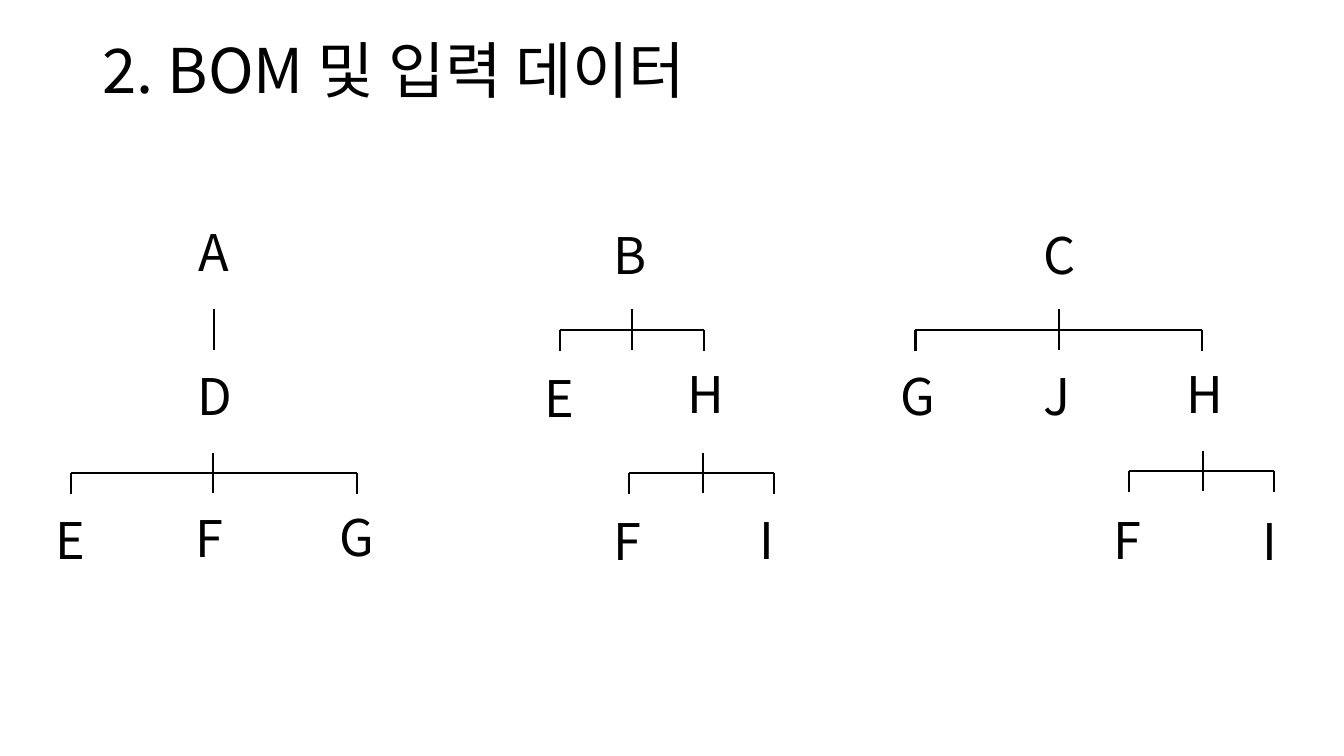
from lxml import etree
from pptx import Presentation
from pptx.dml.color import RGBColor
from pptx.enum.shapes import MSO_CONNECTOR
from pptx.enum.text import MSO_ANCHOR
from pptx.oxml.ns import qn
from pptx.util import Inches, Pt

STRAIGHT = MSO_CONNECTOR.STRAIGHT
MIDDLE = MSO_ANCHOR.MIDDLE
FONT = "Noto Sans CJK KR"
BLACK = "000000"
STEM_HALF = 0.2
DROP = 0.21

# Part letter, left and top of its box
PARTS = [
    ("A", 1.87, 2.17), ("D", 1.86, 3.6),
    ("E", 0.45, 5.03), ("F", 1.84, 5.01), ("G", 3.27, 5.0),
    ("B", 5.99, 2.2), ("E", 5.3, 3.62), ("H", 6.72, 3.58),
    ("F", 5.99, 5.04), ("I", 7.43, 5.03),
    ("C", 10.25, 2.2), ("G", 8.83, 3.6), ("J", 10.25, 3.6), ("H", 11.67, 3.58),
    ("F", 10.95, 5.03), ("I", 12.42, 5.04),
]
# Left end, stem and right end of each rail, then its height
BRANCHES = [
    (0.7, 2.11, 3.54, 4.69),
    (5.55, 6.27, 6.98, 3.27),
    (6.24, 6.97, 7.68, 4.69),
    (9.08, 10.5, 11.92, 3.27),
    (11.2, 11.93, 12.64, 4.67),
]


def color(value):
    return RGBColor.from_string(value)


def add_text(slide, text, left, top, width, height, size):
    shape = slide.shapes.add_textbox(
        Inches(left), Inches(top), Inches(width), Inches(height))
    frame = shape.text_frame
    frame.word_wrap = True
    frame.vertical_anchor = MIDDLE
    paragraph = frame.paragraphs[0]
    paragraph.line_spacing = 0.9
    run = paragraph.add_run()
    run.text = text
    paragraph.font.size = Pt(size)
    paragraph.font.name = FONT
    paragraph.font.color.rgb = color(BLACK)
    # Korean glyphs take their font from the East Asian slot
    east_asian = etree.SubElement(run._r.get_or_add_rPr(), qn("a:ea"))
    east_asian.set("typeface", FONT)


def add_line(slide, x1, y1, x2, y2):
    line = slide.shapes.add_connector(
        STRAIGHT, Inches(x1), Inches(y1), Inches(x2), Inches(y2))
    line.line.color.rgb = color(BLACK)
    line.line.width = Pt(1.5)
    etree.SubElement(line._element.spPr, qn("a:effectLst"))


def add_stem(slide, x, y):
    add_line(slide, x, y - STEM_HALF, x, y + STEM_HALF)


def add_branch(slide, left, stem, right, y):
    """Draw a rail with a stem across it and a drop at each end."""
    add_line(slide, left, y, right, y)
    add_stem(slide, stem, y)
    for x in (left, right):
        add_line(slide, x, y, x, y + DROP)


def main():
    presentation = Presentation()
    presentation.slide_width = Inches(13.33)
    presentation.slide_height = Inches(7.5)
    slide = presentation.slides.add_slide(presentation.slide_layouts[6])

    add_stem(slide, 2.12, 3.27)
    for branch in BRANCHES:
        add_branch(slide, *branch)
    for letter, left, top in PARTS:
        add_text(slide, letter, left, top, 0.5, 0.72, 36)
    add_text(slide, "2. BOM 및 입력 데이터", 0.92, 0, 11.5, 1.45, 44)

    presentation.save("out.pptx")


if __name__ == "__main__":
    main()
